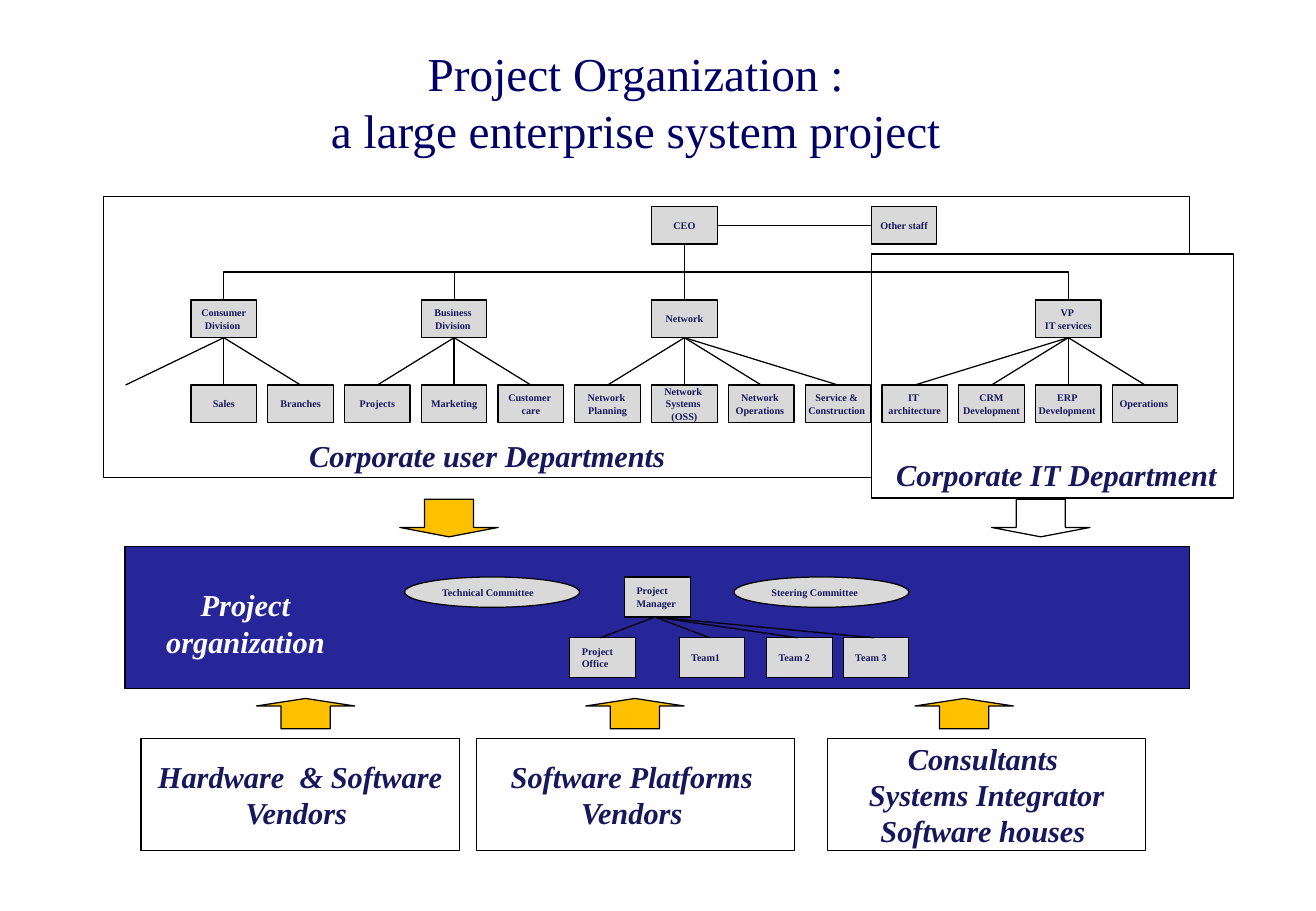
from lxml.etree import SubElement
from pptx import Presentation
from pptx.dml.color import RGBColor
from pptx.enum.shapes import MSO_CONNECTOR as LINK, MSO_SHAPE as SHAPE
from pptx.enum.text import MSO_ANCHOR, PP_ALIGN
from pptx.oxml.ns import qn
from pptx.util import Inches, Pt

WIDE, HIGH = 10.83, 7.5
INK, GREY, WHITE, GOLD, BLUE = "17175C", "D9D9D9", "FFFFFF", "FFC000", "262699"
BIG = {"size": Pt(18), "bold": True, "italic": True}
SMALL = {"size": Pt(6), "bold": True}
NODE_W, NODE_H = 0.54, 0.31

deck = Presentation()
deck.slide_width, deck.slide_height = Inches(WIDE), Inches(HIGH)
slide = deck.slides.add_slide(deck.slide_layouts[6])
shapes = slide.shapes


def color(code):
    return RGBColor.from_string(code)


def write(shape, text, style, ink=INK, align=PP_ALIGN.CENTER, wrap=False,
          anchor=MSO_ANCHOR.MIDDLE):
    frame = shape.text_frame
    frame.word_wrap, frame.vertical_anchor = wrap, anchor
    frame.text = text
    for para in frame.paragraphs:
        para.alignment = align
        for name, value in {"name": "Times New Roman", **style}.items():
            setattr(para.font, name, value)
        para.font.color.rgb = color(ink)


def draw(kind, box, fill=WHITE):
    shape = shapes.add_shape(kind, *map(Inches, box))
    shape.shadow.inherit = False
    shape.fill.solid()
    shape.fill.fore_color.rgb = color(fill)
    shape.line.color.rgb = color("000000")
    shape.line.width = Pt(0.75)
    return shape


def label(box, text, style=BIG, **look):
    write(shapes.add_textbox(*map(Inches, box)), text, style, **look)


def node(x, y, text, w=NODE_W, h=NODE_H, kind=SHAPE.RECTANGLE, align=PP_ALIGN.CENTER):
    write(draw(kind, (x, y, w, h), GREY), text, SMALL, align=align)


def line(start, end, kind=LINK.STRAIGHT):
    link = shapes.add_connector(kind, *map(Inches, (*start, *end)))
    link.line.color.rgb = color("000000")
    link.line.width = Pt(0.75)
    SubElement(link.element.spPr, qn("a:effectLst"))
    return link


def elbow(start, end):
    """Link that leaves downward, runs sideways and arrives downward."""
    (x1, y1), (x2, y2) = start, end
    mid_x, mid_y = (x1 + x2) / 2, (y1 + y2) / 2
    side = 1 if x2 > x1 else -1
    half, tall = side * (y2 - y1) / 2, abs(x2 - x1) / 2
    link = line((mid_x + half, mid_y - tall), (mid_x - half, mid_y + tall), LINK.ELBOW)
    link.element.spPr.xfrm.set("rot", str((270 if side > 0 else 90) * 60000))


def company(box, it_box):
    left, top, wide, high = box
    pitch = wide / 14.15
    top_y, head_y, leaf_y = top + 0.08, top + 0.85, top + 1.55

    def mid(col):
        return left + (col + 1.57) * pitch

    def place(col, y, text):
        node(mid(col) - NODE_W / 2, y, text)

    draw(SHAPE.RECTANGLE, box)
    draw(SHAPE.RECTANGLE, it_box)
    leaves = ["Sales", "Branches", "Projects", "Marketing", "Customer \ncare",
              "Network \nPlanning", "Network \nSystems \n(OSS)",
              "Network \nOperations ", "Service & \nConstruction ",
              "IT \narchitecture", "CRM\nDevelopment", "ERP \nDevelopment ",
              "Operations "]
    for col, text in enumerate(leaves):
        place(col, leaf_y, text)
    heads = {0: ("Consumer\nDivision ", (-1.28, 0, 1)),
             3: ("Business \nDivision ", (2, 3, 4)),
             6: ("Network", (5, 6, 7, 8)),
             11: ("VP \nIT services", (9, 10, 11, 12))}
    ceo = 6
    for col, (text, kids) in heads.items():
        place(col, head_y, text)
        for kid in kids:
            line((mid(col), head_y + NODE_H), (mid(kid), leaf_y))
        link = line if col == ceo else elbow
        link((mid(ceo), top_y + NODE_H), (mid(col), head_y))
    place(ceo, top_y, "CEO")
    node(it_box[0], top_y, "Other staff")
    line((mid(ceo) + NODE_W / 2, top_y + NODE_H / 2), (it_box[0], top_y + NODE_H / 2))
    label((left + 1.58, top + 1.93, 3.16, 0.4), "Corporate user Departments",
          anchor=MSO_ANCHOR.TOP)
    label((it_box[0] + 0.09, it_box[1] + 1.62, 2.87, 0.4),
          "Corporate IT Department", anchor=MSO_ANCHOR.TOP)


def project(box):
    left, top = box[:2]
    draw(SHAPE.RECTANGLE, box, BLUE)
    label((left + 0.18, top + 0.28, 1.62, 0.71), "Project organization",
          ink=WHITE, wrap=True, anchor=MSO_ANCHOR.TOP)
    row, tall = top + 0.25, 0.33
    boss = left + 4.11
    teams = {3.66: "Project\nOffice", 4.56: "Team1", 5.28: "Team 2", 5.91: "Team 3"}
    node(boss, row, "Project\nManager", h=tall, align=PP_ALIGN.LEFT)
    for shift, text in teams.items():
        x = left + shift
        node(x, row + 0.5, text, h=tall, align=PP_ALIGN.LEFT)
        line((boss + 0.25, row + tall), (x + 0.25, row + 0.5))
    for shift, text in ((2.3, "Technical Committee"), (5.01, "Steering Committee")):
        node(left + shift, row, text, 1.44, 0.25, SHAPE.OVAL, PP_ALIGN.LEFT)


def arrows(kind, spots, y, high):
    for x, fill in spots:
        draw(kind, (x, y, 0.81, high), fill)


def vendors(top):
    parts = [(1.16, "Hardware  & Software Vendors ", True),
             (3.92, "Software Platforms \nVendors ", False),
             (6.81, "Consultants \nSystems Integrator\nSoftware houses ", False)]
    for x, text, wrap in parts:
        write(draw(SHAPE.RECTANGLE, (x, top, 2.62, 0.92)), text, BIG, wrap=wrap)


vendors(6.08)
company((0.85, 1.62, 8.94, 2.31), (7.17, 2.09, 2.98, 2.01))
arrows(SHAPE.DOWN_ARROW, [(3.29, GOLD), (8.16, WHITE)], 4.11, 0.31)
arrows(SHAPE.UP_ARROW, [(2.11 + 2.71 * i, GOLD) for i in range(3)], 5.75, 0.25)
for arrow in shapes:
    if arrow.name.startswith("Up Arrow") or arrow.name.startswith("Down Arrow"):
        arrow.adjustments[1] = 0.25
project((1.03, 4.5, 8.76, 1.17))
label((0.81, 0.33, 8.94, 1), "Project Organization : \va large enterprise system project ",
      {"size": Pt(28)}, ink="000066", wrap=True)
deck.save("out.pptx")
